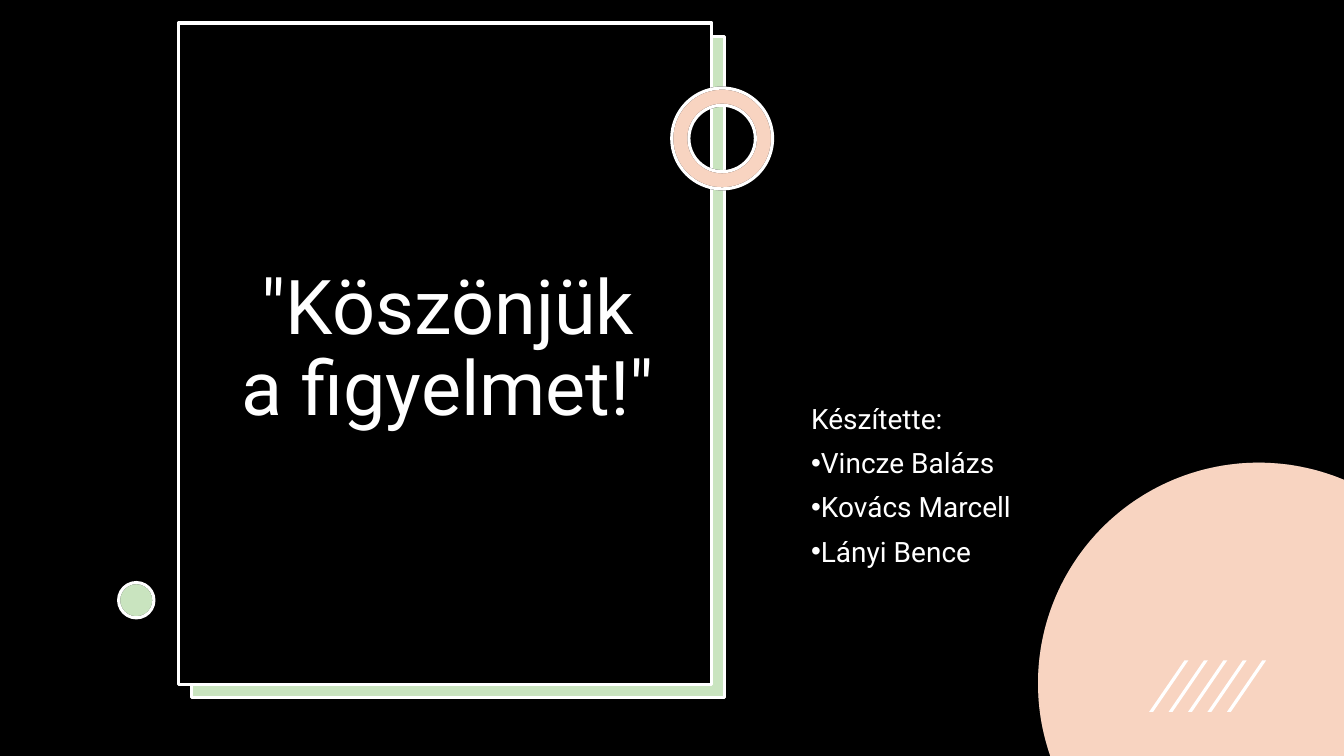
from math import acos, asin, cos, pi, sin

from lxml import etree
from pptx import Presentation
from pptx.dml.color import RGBColor
from pptx.enum.shapes import MSO_SHAPE
from pptx.enum.text import MSO_ANCHOR, MSO_AUTO_SIZE, PP_ALIGN
from pptx.oxml.ns import qn
from pptx.util import Cm, Pt

RECT, OVAL = MSO_SHAPE.RECTANGLE, MSO_SHAPE.OVAL
RING, STRIPE = MSO_SHAPE.DONUT, MSO_SHAPE.PARALLELOGRAM
LEFT, CENTER = PP_ALIGN.LEFT, PP_ALIGN.CENTER
TOP, MIDDLE = MSO_ANCHOR.TOP, MSO_ANCHOR.MIDDLE

COLORS = {"black": "000000", "white": "FFFFFF", "green": "4EA72E", "orange": "E97132"}
FONT = "Roboto"
WIDTH, HEIGHT = 33.87, 19.05
TINT_OPACITY = 30


def rgb(name):
    return RGBColor.from_string(COLORS[name])


def paint(shape, fill, line=None, opacity=100):
    shape.shadow.inherit = False
    shape.fill.solid()
    shape.fill.fore_color.rgb = rgb(fill)
    if opacity < 100:
        color = shape.element.spPr.find(qn("a:solidFill"))[0]
        etree.SubElement(color, qn("a:alpha"), val=str(opacity * 1000))
    if line:
        shape.line.color.rgb = rgb(line)
        shape.line.width = Pt(2.25)
    else:
        shape.line.fill.background()


def add_preset(slide, kind, box, fill, line=None, opacity=100, adjust=None):
    shape = slide.shapes.add_shape(kind, *map(Cm, box))
    if adjust is not None:
        shape.adjustments[0] = adjust
    paint(shape, fill, line, opacity)


def add_tinted(slide, kind, box, tint, adjust=None):
    """Lay a translucent tint over a white base, so that it reads as a pastel."""
    add_preset(slide, kind, box, "white", "black", adjust=adjust)
    add_preset(slide, kind, box, tint, "white", TINT_OPACITY, adjust)


def add_corner_circle(slide, center_x, center_y, radius):
    """Draw the part of a circle that lies inside the bottom right slide corner."""
    start = pi - asin((HEIGHT - center_y) / radius)
    end = 2 * pi - acos((WIDTH - center_x) / radius)
    steps = 90
    angles = [start + (end - start) * step / steps for step in range(steps + 1)]
    arc = [(Cm(center_x + radius * cos(angle)), Cm(center_y + radius * sin(angle)))
           for angle in angles]
    for fill, opacity in (("white", 100), ("orange", TINT_OPACITY)):
        builder = slide.shapes.build_freeform(*arc[0])
        builder.add_line_segments(arc[1:] + [(Cm(WIDTH), Cm(HEIGHT))])
        paint(builder.convert_to_shape(), fill, opacity=opacity)


def add_stripes(slide, left, top, count=5, pitch=0.49):
    for index in range(count):
        box = (left + index * pitch, top, 0.99, 1.3)
        add_preset(slide, STRIPE, box, "white", adjust=0.9)


def place_placeholder(holder, box, anchor, inset=0.25):
    """Position a placeholder and bring it in front of the shapes drawn so far."""
    holder.left, holder.top, holder.width, holder.height = map(Cm, box)
    frame = holder.text_frame
    frame.word_wrap = True
    frame.auto_size = MSO_AUTO_SIZE.NONE
    frame.vertical_anchor = anchor
    frame.margin_left = frame.margin_right = Cm(inset)
    holder.element.getparent().append(holder.element)
    return frame


def write(para, text, size, align=LEFT, before=0, bullet=False):
    para.alignment = align
    para.line_spacing = 0.9
    para.space_before = Pt(before)
    props = para._p.get_or_add_pPr()
    props.set("marL", "0")
    props.set("indent", "0")
    if bullet:
        etree.SubElement(props, qn("a:buChar"), char="•")
    else:
        etree.SubElement(props, qn("a:buNone"))
    span = para.add_run()
    span.text = text
    span.font.name = FONT
    span.font.size = Pt(size)
    span.font.color.rgb = rgb("white")


def add_title_panel(slide, left, top, width, height, offset=0.33):
    add_tinted(slide, RECT, (left + offset, top + offset, width, height), "green")
    add_preset(slide, RECT, (left, top, width, height), "black", "white")
    title_box = (left + 1.14, top + 0.84, 11.3, 14.83)
    frame = place_placeholder(slide.shapes.title, title_box, MIDDLE, inset=0.4)
    write(frame.paragraphs[0], '"Köszönjük a figyelmet!"', 54, align=CENTER)


def add_authors(slide, box):
    frame = place_placeholder(slide.placeholders[1], box, TOP)
    write(frame.paragraphs[0], "Készítette:", 20, before=10)
    for author in ("Vincze Balázs", "Kovács Marcell", "Lányi Bence"):
        write(frame.add_paragraph(), author, 20, before=10, bullet=True)


def main():
    deck = Presentation()
    deck.slide_width, deck.slide_height = Cm(WIDTH), Cm(HEIGHT)
    slide = deck.slides.add_slide(deck.slide_layouts[0])
    add_preset(slide, RECT, (0, 0, WIDTH, HEIGHT), "black")
    add_title_panel(slide, 4.5, 0.58, 13.44, 16.66)
    add_corner_circle(slide, 31.72, 17.22, 5.56)
    add_authors(slide, (20.19, 10.08, 9.27, 6.55))
    add_tinted(slide, RING, (16.93, 2.22, 2.54, 2.54), "orange", adjust=0.17)
    add_tinted(slide, OVAL, (2.99, 14.68, 0.89, 0.89), "green")
    add_stripes(slide, 28.96, 16.64)
    deck.save("out.pptx")


if __name__ == "__main__":
    main()
